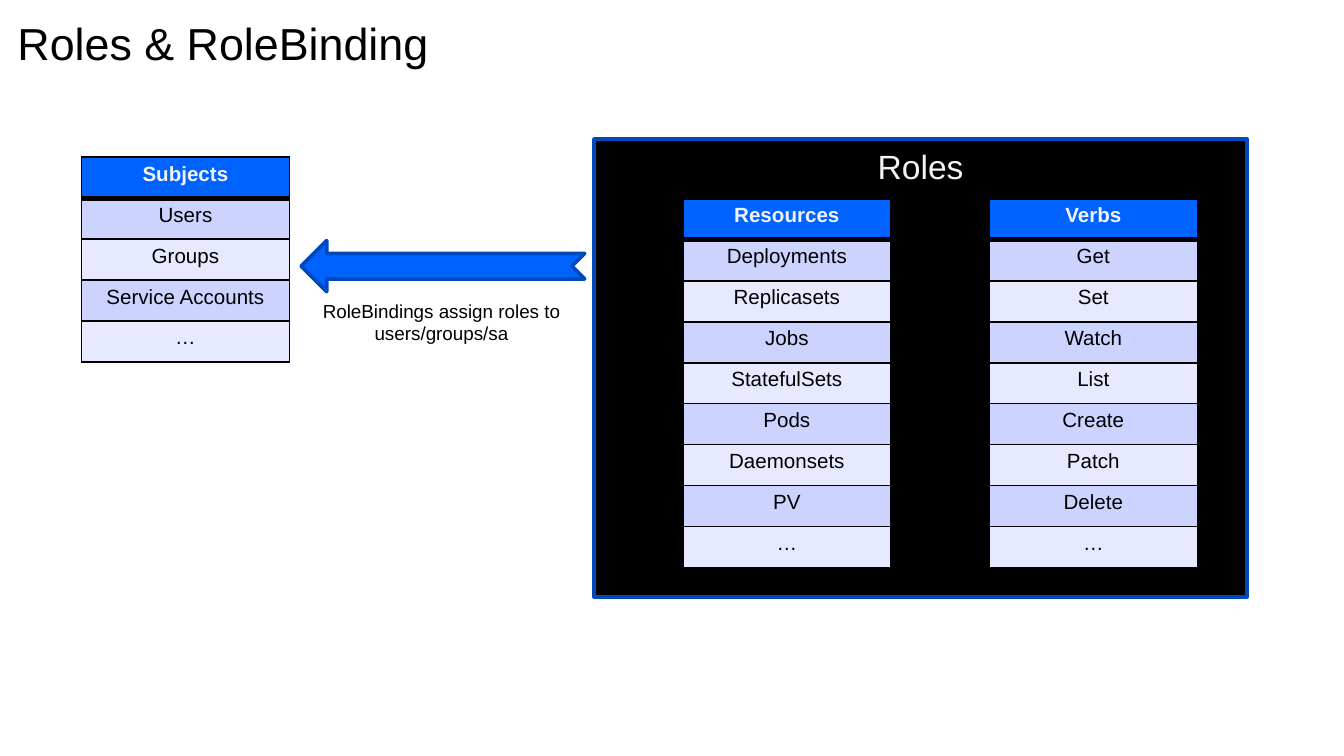
from dataclasses import dataclass

import pptx
import pptx.dml.color
import pptx.enum.shapes
import pptx.enum.text
import pptx.oxml
import pptx.oxml.ns
import pptx.util

EMU_PER_PX = 4572  # 200 px to the inch
ROW_HEIGHT = 61
COLUMN_WIDTH = 310
ALIGN = pptx.enum.text.PP_ALIGN
ANCHOR = pptx.enum.text.MSO_ANCHOR
SHAPES = pptx.enum.shapes.MSO_SHAPE


@dataclass(frozen=True)
class Theme:
    font: str = "Arial"
    dark: str = "000000"
    light: str = "F1F4F7"
    accent: str = "0062FF"
    outline: str = "0049BD"
    bands: tuple[str, str] = ("CCD3FF", "E7EAFF")
    title_size: float = 24
    panel_size: float = 18
    table_size: float = 11
    caption_size: float = 10.1


@dataclass(frozen=True)
class Frame:
    left: int
    top: int
    width: int
    height: int

    def emu(self) -> tuple:
        return tuple(px(n) for n in (self.left, self.top, self.width, self.height))


@dataclass(frozen=True)
class ListTable:
    left: int
    top: int
    header: str
    items: tuple[str, ...]


THEME = Theme()
TABLES = (
    ListTable(1472, 296, "Verbs",
              ("Get", "Set", "Watch", "List", "Create", "Patch", "Delete", "…")),
    ListTable(1016, 296, "Resources",
              ("Deployments", "Replicasets", "Jobs", "StatefulSets", "Pods",
               "Daemonsets", "PV", "…")),
    ListTable(121, 234, "Subjects", ("Users", "Groups", "Service Accounts", "…")),
)


def px(count: int) -> pptx.util.Emu:
    return pptx.util.Emu(count * EMU_PER_PX)


def rgb(color: str) -> pptx.dml.color.RGBColor:
    return pptx.dml.color.RGBColor.from_string(color)


def write(para, text: str, size: float, color: str, align=ALIGN.CENTER,
          bold: bool = False) -> None:
    para.alignment = align
    span = para.add_run()
    span.text = text
    span.font.name = THEME.font
    span.font.size = pptx.util.Pt(size)
    span.font.bold = bold
    span.font.color.rgb = rgb(color)


def draw_title(page, frame: Frame, text: str) -> None:
    box = page.shapes.title
    box.left, box.top, box.width, box.height = frame.emu()
    body = box.text_frame
    body.margin_left = body.margin_top = body.margin_right = body.margin_bottom = 0
    body.vertical_anchor = ANCHOR.TOP
    body.word_wrap = True
    para = body.paragraphs[0]
    para.line_spacing = pptx.util.Pt(28)
    para.space_after = pptx.util.Pt(18)
    write(para, text, THEME.title_size, THEME.dark, ALIGN.LEFT)


def draw_shape(page, kind, frame: Frame, fill: str):
    shape = page.shapes.add_shape(kind, *frame.emu())
    shape.shadow.inherit = False
    shape.fill.solid()
    shape.fill.fore_color.rgb = rgb(fill)
    shape.line.color.rgb = rgb(THEME.outline)
    shape.line.width = pptx.util.Pt(2)
    shape.line._get_or_add_ln().append(
        pptx.oxml.parse_xml(f"<a:round {pptx.oxml.ns.nsdecls('a')}/>"))
    return shape


def set_borders(cell, top: int, bottom: int) -> None:
    """Rule all four sides of a cell; widths are in points."""
    widths = {"lnL": 1, "lnR": 1, "lnT": top, "lnB": bottom}
    for index, (side, width) in enumerate(widths.items()):
        border = pptx.oxml.parse_xml(
            f'<a:{side} {pptx.oxml.ns.nsdecls("a")} w="{pptx.util.Pt(width)}">'
            f'<a:solidFill><a:srgbClr val="{THEME.dark}"/></a:solidFill></a:{side}>')
        cell._tc.get_or_add_tcPr().insert(index, border)


def draw_table(page, data: ListTable) -> None:
    labels = (data.header, *data.items)
    frame = Frame(data.left, data.top, COLUMN_WIDTH, ROW_HEIGHT * len(labels))
    table = page.shapes.add_table(len(labels), 1, *frame.emu()).table
    for index, label in enumerate(labels):
        is_header = index == 0
        table.rows[index].height = px(ROW_HEIGHT)
        cell = table.cell(index, 0)
        cell.margin_left = cell.margin_right = px(14)
        cell.margin_top = cell.margin_bottom = px(8)
        cell.vertical_anchor = ANCHOR.TOP
        cell.fill.solid()
        cell.fill.fore_color.rgb = rgb(
            THEME.accent if is_header else THEME.bands[(index - 1) % 2])
        set_borders(cell, top=3 if index == 1 else 1, bottom=3 if is_header else 1)
        write(cell.text_frame.paragraphs[0], label, THEME.table_size,
              THEME.light if is_header else THEME.dark, bold=is_header)


def draw_caption(page, frame: Frame, text: str) -> None:
    box = page.shapes.add_textbox(*frame.emu())
    box.text_frame.word_wrap = True
    box.text_frame.auto_size = pptx.enum.text.MSO_AUTO_SIZE.SHAPE_TO_FIT_TEXT
    write(box.text_frame.paragraphs[0], text, THEME.caption_size, THEME.dark)


def main() -> None:
    deck = pptx.Presentation()
    deck.slide_width, deck.slide_height = px(2000), px(1125)
    page = deck.slides.add_slide(deck.slide_layouts[5])
    draw_title(page, Frame(26, 26, 1724, 106), "Roles & RoleBinding")

    # Roles panel
    panel = draw_shape(page, SHAPES.RECTANGLE, Frame(884, 207, 972, 681), THEME.dark)
    panel.text_frame.vertical_anchor = ANCHOR.TOP
    write(panel.text_frame.paragraphs[0], "Roles", THEME.panel_size, THEME.light)

    # Verbs, resources and subjects
    for data in TABLES:
        draw_table(page, data)

    # Binding from roles to subjects
    arrow = draw_shape(page, SHAPES.NOTCHED_RIGHT_ARROW, Frame(448, 358, 422, 76),
                       THEME.accent)
    arrow.rotation = 180
    draw_caption(page, Frame(446, 436, 422, 88),
                 "RoleBindings assign roles to users/groups/sa")

    deck.save("out.pptx")


if __name__ == "__main__":
    main()
